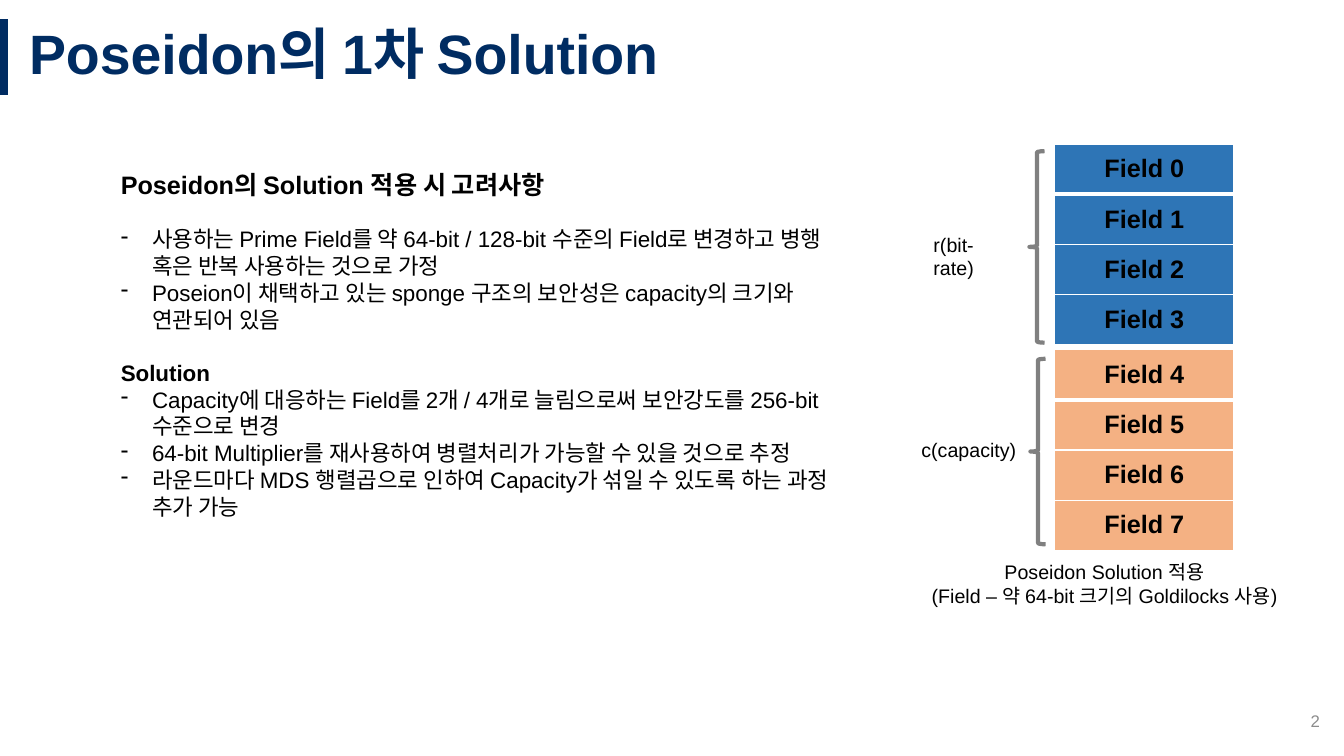
from pptx import Presentation
from pptx.dml.color import RGBColor
from pptx.enum.shapes import MSO_CONNECTOR, MSO_SHAPE
from pptx.enum.text import MSO_ANCHOR, PP_ALIGN
from pptx.oxml.ns import qn
from pptx.util import Inches, Pt
from lxml import etree

STRAIGHT = MSO_CONNECTOR.STRAIGHT
LEFT_BRACE = MSO_SHAPE.LEFT_BRACE
TOP, MIDDLE = MSO_ANCHOR.TOP, MSO_ANCHOR.MIDDLE
LEFT, CENTER, RIGHT = PP_ALIGN.LEFT, PP_ALIGN.CENTER, PP_ALIGN.RIGHT

FONT = "Arial"
COLORS = {
    "navy": "002C62",
    "black": "000000",
    "gray": "8C8C8C",
    "brace": "808080",
    "white": "FFFFFF",
    "rate": "2E75B6",
    "capacity": "F4B183",
}
BULLET_INDENT = 0.31
SECTION_GAP = 18.5

# Text, size, bold, bulleted, space before
BODY = [
    ("Poseidon의 Solution 적용 시 고려사항", 18, True, False, 0),
    ("사용하는 Prime Field를 약 64-bit / 128-bit 수준의 Field로 변경하고 "
     "병행 혹은 반복 사용하는 것으로 가정", 16, False, True, SECTION_GAP),
    ("Poseion이 채택하고 있는 sponge 구조의 보안성은 capacity의 크기와 "
     "연관되어 있음", 16, False, True, 0),
    ("Solution", 16, True, False, SECTION_GAP),
    ("Capacity에 대응하는 Field를 2개 / 4개로 늘림으로써 보안강도를 "
     "256-bit 수준으로 변경", 16, False, True, 0),
    ("64-bit Multiplier를 재사용하여 병렬처리가 가능할 수 있을 것으로 추정",
     16, False, True, 0),
    ("라운드마다 MDS 행렬곱으로 인하여 Capacity가 섞일 수 있도록 하는 과정 "
     "추가 가능", 16, False, True, 0),
]


def rgb(name):
    return RGBColor.from_string(COLORS[name])


class SlideBuilder:
    def __init__(self, slide):
        self.slide = slide

    def format_paragraph(self, paragraph, size, color="black", bold=False, align=LEFT):
        paragraph.alignment = align
        for run in paragraph.runs:
            run.font.name = FONT
            run.font.size = Pt(size)
            run.font.bold = bold
            run.font.color.rgb = rgb(color)

    def text_frame(self, box, anchor=TOP):
        """Add an empty, wrapping text box and return its frame."""
        frame = self.slide.shapes.add_textbox(*map(Inches, box)).text_frame
        frame.word_wrap = True
        frame.vertical_anchor = anchor
        return frame

    def label(self, text, box, size, color="black", bold=False, align=LEFT, anchor=TOP):
        frame = self.text_frame(box, anchor)
        frame.text = text
        for paragraph in frame.paragraphs:
            self.format_paragraph(paragraph, size, color, bold, align)
        return frame

    def outline(self, items, box):
        """Add headings and dashed bullets in one text box."""
        frame = self.text_frame(box)
        for index, (text, size, bold, bulleted, gap) in enumerate(items):
            paragraph = frame.add_paragraph() if index else frame.paragraphs[0]
            paragraph.text = text
            if gap:
                paragraph.space_before = Pt(gap)
            if bulleted:
                self.add_dash(paragraph)
            self.format_paragraph(paragraph, size, bold=bold)

    def add_dash(self, paragraph):
        properties = paragraph._p.get_or_add_pPr()
        properties.set("marL", str(Inches(BULLET_INDENT)))
        properties.set("indent", str(-Inches(BULLET_INDENT)))
        etree.SubElement(properties, qn("a:buFontTx"))
        etree.SubElement(properties, qn("a:buChar"), char="-")

    def line(self, start, end, color, width):
        connector = self.slide.shapes.add_connector(
            STRAIGHT, *map(Inches, start + end))
        connector.line.color.rgb = rgb(color)
        connector.line.width = Pt(width)
        etree.SubElement(connector._element.spPr, qn("a:effectLst"))

    def brace(self, box):
        shape = self.slide.shapes.add_shape(LEFT_BRACE, *map(Inches, box))
        shape.shadow.inherit = False
        shape.fill.background()
        shape.line.color.rgb = rgb("brace")
        shape.line.width = Pt(3)

    def cell_border(self, cell, side, width):
        properties = cell._tc.get_or_add_tcPr()
        border = etree.SubElement(properties, qn(f"a:ln{side}"), w=str(Pt(width)))
        fill = etree.SubElement(border, qn("a:solidFill"))
        etree.SubElement(fill, qn("a:srgbClr"), val=COLORS["white"])

    def field_table(self, labels, box, color):
        """Add a one-column table with a thick rule under its first row."""
        table = self.slide.shapes.add_table(
            len(labels), 1, *map(Inches, box)).table
        table.first_row = table.horz_banding = False
        for row, text in enumerate(labels):
            cell = table.cell(row, 0)
            cell.text = text
            cell.vertical_anchor = MIDDLE
            self.format_paragraph(
                cell.text_frame.paragraphs[0], 18, bold=True, align=CENTER)
            widths = {"L": 1, "R": 1, "T": 3 if row == 1 else 1,
                      "B": 3 if row == 0 else 1}
            for side, width in widths.items():
                self.cell_border(cell, side, width)
            cell.fill.solid()
            cell.fill.fore_color.rgb = rgb(color)


def main():
    presentation = Presentation()
    presentation.slide_width = Inches(13.33)
    presentation.slide_height = Inches(7.5)
    builder = SlideBuilder(presentation.slides.add_slide(presentation.slide_layouts[6]))

    builder.line((0.04, 0.19), (0.04, 0.94), "navy", 6)
    title = builder.label("Poseidon의 1차 Solution", (0.19, 0.19, 13.14, 0.75),
                          39.6, "navy", bold=True, anchor=MIDDLE)
    title.paragraphs[0].line_spacing = 0.9
    builder.label("2", (10.19, 6.95, 3, 0.4), 12, "gray", align=RIGHT, anchor=MIDDLE)
    builder.outline(BODY, (1.1, 1.63, 7.53, 3.64))

    fields = [f"Field {number}" for number in range(8)]
    builder.field_table(fields[:4], (10.46, 1.43, 1.78, 1.99), "rate")
    builder.brace((10.21, 1.5, 0.15, 1.9))
    builder.label("r(bit-rate)", (9.16, 2.26, 0.95, 0.66), 14)
    builder.field_table(fields[4:], (10.46, 3.47, 1.78, 1.99), "capacity")
    builder.brace((10.22, 3.56, 0.15, 1.84))
    builder.label("c(capacity)", (9.04, 4.3, 1.17, 0.66), 14)
    builder.label("Poseidon Solution 적용\n(Field – 약 64-bit 크기의 Goldilocks 사용)",
                  (9.04, 5.51, 3.83, 0.57), 14, align=CENTER)

    presentation.save("out.pptx")


if __name__ == "__main__":
    main()
